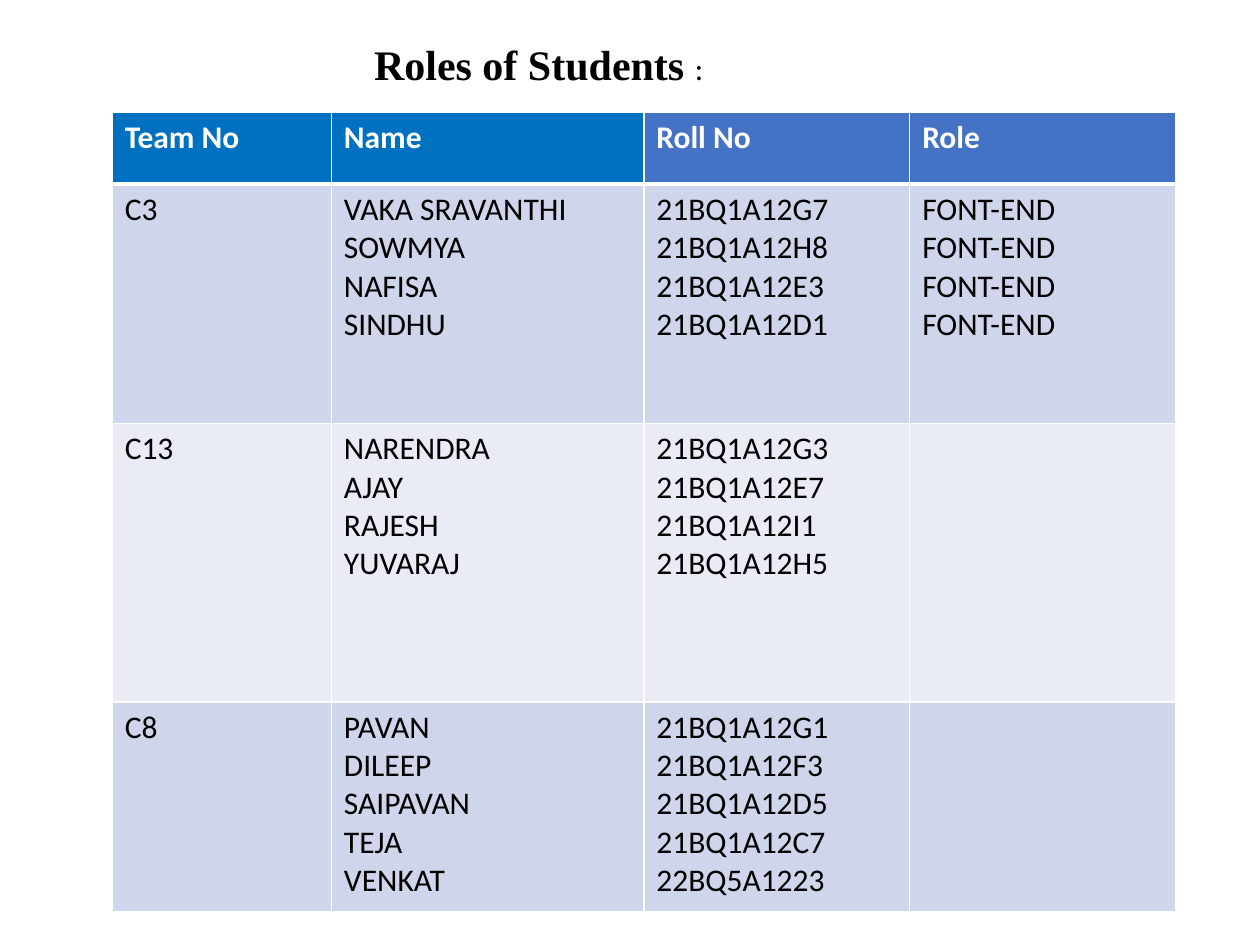
from lxml import etree
from pptx import Presentation
from pptx import util as u
from pptx.dml.color import RGBColor
from pptx.oxml import ns

COLS = [1.74, 2.48, 2.11, 2.11]
ROWS = [0.57, 1.9, 2.21, 1.67]
HEADERS = ["Team No", "Name", "Roll No", "Role"]
HEADER_FILLS = ["0070C0", "0070C0", "4472C4", "4472C4"]
BAND_FILLS = ["CFD5EA", "E9EBF5"]
TEAMS = [
    (["C3"],
     ["VAKA SRAVANTHI", "SOWMYA", "NAFISA", "SINDHU"],
     ["21BQ1A12G7", "21BQ1A12H8", "21BQ1A12E3", "21BQ1A12D1"],
     ["FONT-END"] * 4),
    (["C13"],
     ["NARENDRA", "AJAY", "RAJESH", "YUVARAJ"],
     ["21BQ1A12G3", "21BQ1A12E7", "21BQ1A12I1", "21BQ1A12H5"],
     []),
    (["C8"],
     ["PAVAN", "DILEEP", "SAIPAVAN", "TEJA", "VENKAT"],
     ["21BQ1A12G1", "21BQ1A12F3", "21BQ1A12D5", "21BQ1A12C7", "22BQ5A1223"],
     []),
]


def rgb(value):
    """Turn a hex string into a colour."""
    return RGBColor.from_string(value)


def add_run(p, content, size=18, font="Calibri", color="000000", bold=False):
    """Add one formatted run to a paragraph."""
    r = p.add_run()
    r.text = content
    r.font.size = u.Pt(size)
    r.font.name = font
    r.font.bold = bold
    r.font.color.rgb = rgb(color)


def set_borders(cell, top=1, bottom=1, color="FFFFFF"):
    """Draw the four borders of a cell, with widths in points."""
    tcPr = cell._tc.get_or_add_tcPr()
    for side, width in (("L", 1), ("R", 1), ("T", top), ("B", bottom)):
        ln = etree.SubElement(tcPr, ns.qn(f"a:ln{side}"), w=str(u.Pt(width)))
        fill = etree.SubElement(ln, ns.qn("a:solidFill"))
        etree.SubElement(fill, ns.qn("a:srgbClr"), val=color)


def fill_cell(cell, lines, fill, color="000000", bold=False):
    """Fill a cell and write its lines as paragraphs."""
    cell.fill.solid()
    cell.fill.fore_color.rgb = rgb(fill)
    tf = cell.text_frame
    for i, line in enumerate(lines):
        p = tf.add_paragraph() if i else tf.paragraphs[0]
        add_run(p, line, color=color, bold=bold)


def add_roles_table(s):
    """Add the table of teams, names, roll numbers and roles."""
    table = s.shapes.add_table(len(ROWS), len(COLS), u.Inches(0.89), u.Inches(0.89),
                               u.Inches(sum(COLS)), u.Inches(sum(ROWS))).table
    for column, width in zip(table.columns, COLS):
        column.width = u.Inches(width)
    for row, height in zip(table.rows, ROWS):
        row.height = u.Inches(height)
    for cell, header, fill in zip(table.rows[0].cells, HEADERS, HEADER_FILLS):
        set_borders(cell, bottom=3)
        fill_cell(cell, [header], fill, "FFFFFF", True)
    for i, team in enumerate(TEAMS):
        for cell, lines in zip(table.rows[i + 1].cells, team):
            set_borders(cell, top=1 if i else 3)
            fill_cell(cell, lines, BAND_FILLS[i % 2])


def add_title(s):
    """Add the heading above the table."""
    sp = s.shapes.add_textbox(u.Inches(2.87), u.Inches(0.26), u.Inches(6.62), u.Inches(0.5))
    tf = sp.text_frame
    tf.word_wrap = True
    p = tf.paragraphs[0]
    add_run(p, "Roles of Students ", 24, "Times New Roman", bold=True)
    add_run(p, ":")


def main():
    """Build and save the slide."""
    prs = Presentation()
    prs.slide_width = u.Inches(10)
    prs.slide_height = u.Inches(7.5)
    s = prs.slides.add_slide(prs.slide_layouts[6])
    add_roles_table(s)
    add_title(s)
    prs.save("out.pptx")


if __name__ == "__main__":
    main()
